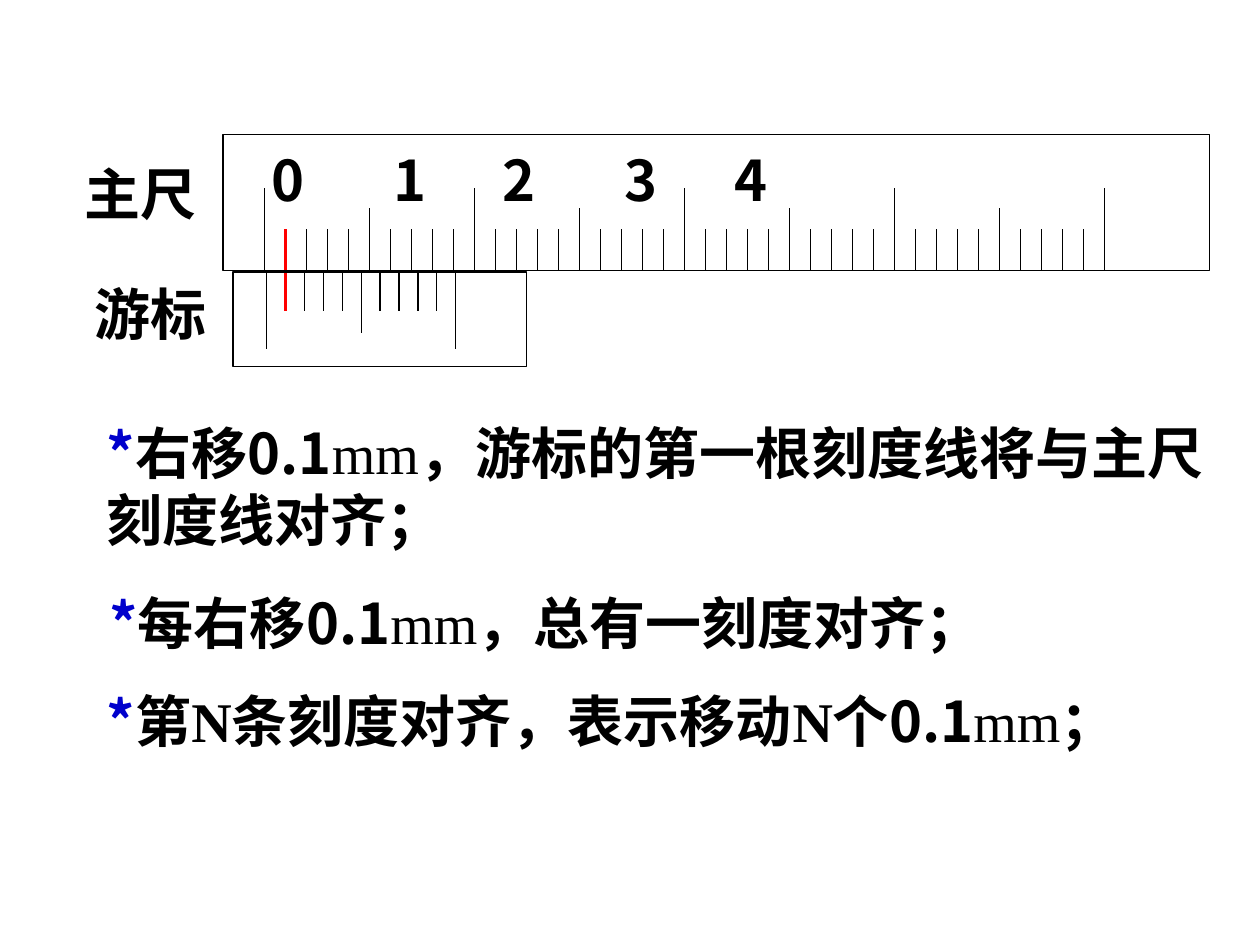
from lxml import etree
from pptx import Presentation
from pptx.dml.color import RGBColor
from pptx.enum.shapes import MSO_CONNECTOR, MSO_SHAPE
from pptx.oxml.ns import qn
from pptx.util import Inches, Pt

BLACK = RGBColor(0x00, 0x00, 0x00)
RED = RGBColor(0xFF, 0x00, 0x00)
BLUE = RGBColor(0x00, 0x00, 0xCC)
SANS = "Noto Sans CJK SC"
SERIF = "Times New Roman"
TEXT_SIZE = Pt(32)
RECTANGLE = MSO_SHAPE.RECTANGLE
STRAIGHT = MSO_CONNECTOR.STRAIGHT

MAIN_BOX = (1.77, 1.07, 7.83, 1.08)
VERNIER_BOX = (1.85, 2.16, 2.33, 0.75)
MAIN_ZERO = 2.1
MAIN_PITCH = 1 / 6
VERNIER_PITCH = 0.9 * MAIN_PITCH  # ten vernier divisions span nine main ones
ALIGNED_TICK = 1  # the red mark shared by both scales


def add_tick(slide, x, start, end, color, width):
    line = slide.shapes.add_connector(
        STRAIGHT, Inches(x), Inches(start), Inches(x), Inches(end))
    line.line.color.rgb = color
    line.line.width = Pt(width)
    etree.SubElement(line._element.spPr, qn("a:effectLst"))


def add_scale(slide, box, zero, pitch, count, edge, lengths):
    """Draw a ruler outline with ticks running from its edge.

    lengths holds signed tick lengths: every tenth, every fifth, the others.
    """
    tenth, fifth, single = lengths
    for index in range(count + 1):
        if index % 10 == 0:
            length = tenth
        else:
            length = fifth if index % 5 == 0 else single
        aligned = index == ALIGNED_TICK
        add_tick(slide, zero + index * pitch, edge, edge + length,
                 RED if aligned else BLACK, 1.5 if aligned else 0.75)

    outline = slide.shapes.add_shape(RECTANGLE, *map(Inches, box))
    outline.shadow.inherit = False
    outline.fill.background()
    outline.line.color.rgb = BLACK
    outline.line.width = Pt(0.75)


def add_text(slide, box, runs, tab_stops=()):
    """Place one paragraph; each run is (text, font, color, bold)."""
    frame = slide.shapes.add_textbox(*map(Inches, box)).text_frame
    frame.word_wrap = True
    paragraph = frame.paragraphs[0]
    if tab_stops:
        tabs = etree.SubElement(
            paragraph._p.get_or_add_pPr(), qn("a:tabLst"))
        for stop in tab_stops:
            etree.SubElement(tabs, qn("a:tab"),
                             pos=str(Inches(stop)), algn="ctr")
    paragraph.font.size = TEXT_SIZE
    for text, font_name, color, bold in runs:
        run = paragraph.add_run()
        run.text = text
        run.font.size = TEXT_SIZE
        run.font.name = font_name
        run.font.color.rgb = color
        run.font.bold = bold
        east_asian = etree.SubElement(run.font._element, qn("a:ea"))
        east_asian.set("typeface", SANS)


def add_rulers(slide):
    left, top, width, height = MAIN_BOX
    add_scale(slide, MAIN_BOX, MAIN_ZERO, MAIN_PITCH, 40, top + height,
              (-0.66, -0.5, -0.33))
    add_text(slide, (left + 0.29, top + 0.04, width - 0.36, 0.64),
             [("0\t1\t2\t3\t4", SANS, BLACK, True)],
             tab_stops=(1.1, 1.96, 2.93, 3.8))

    vernier_zero = MAIN_ZERO + ALIGNED_TICK * (MAIN_PITCH - VERNIER_PITCH)
    add_scale(slide, VERNIER_BOX, vernier_zero, VERNIER_PITCH, 10,
              VERNIER_BOX[1] + 0.01, (0.6, 0.47, 0.3))

    # Names of the two scales
    add_text(slide, (0.57, 1.22, 1.52, 0.64), [("主尺", SERIF, BLACK, True)])
    add_text(slide, (0.65, 2.17, 1.28, 0.64), [("游标", SERIF, BLACK, True)])


def add_note(slide, box, before, after):
    add_text(slide, box, [
        ("*", SANS, BLUE, True),
        (before, SERIF, BLACK, True),
        ("0.1", SANS, BLACK, True),
        ("mm", SERIF, BLACK, False),
        (after, SERIF, BLACK, True),
    ])


def main():
    presentation = Presentation()
    presentation.slide_width = Inches(10)
    presentation.slide_height = Inches(7.5)
    slide = presentation.slides.add_slide(presentation.slide_layouts[6])

    add_rulers(slide)

    # Reading rules
    notes = (
        ((0.75, 3.27, 9.25, 1.17), "右移", "，游标的第一根刻度线将与主尺刻度线对齐；"),
        ((0.77, 4.62, 8.47, 0.64), "每右移", "，总有一刻度对齐；"),
        ((0.75, 5.4, 8.9, 1.17), "第N条刻度对齐，表示移动N个", "；"),
    )
    for box, before, after in notes:
        add_note(slide, box, before, after)

    presentation.save("out.pptx")


if __name__ == "__main__":
    main()
